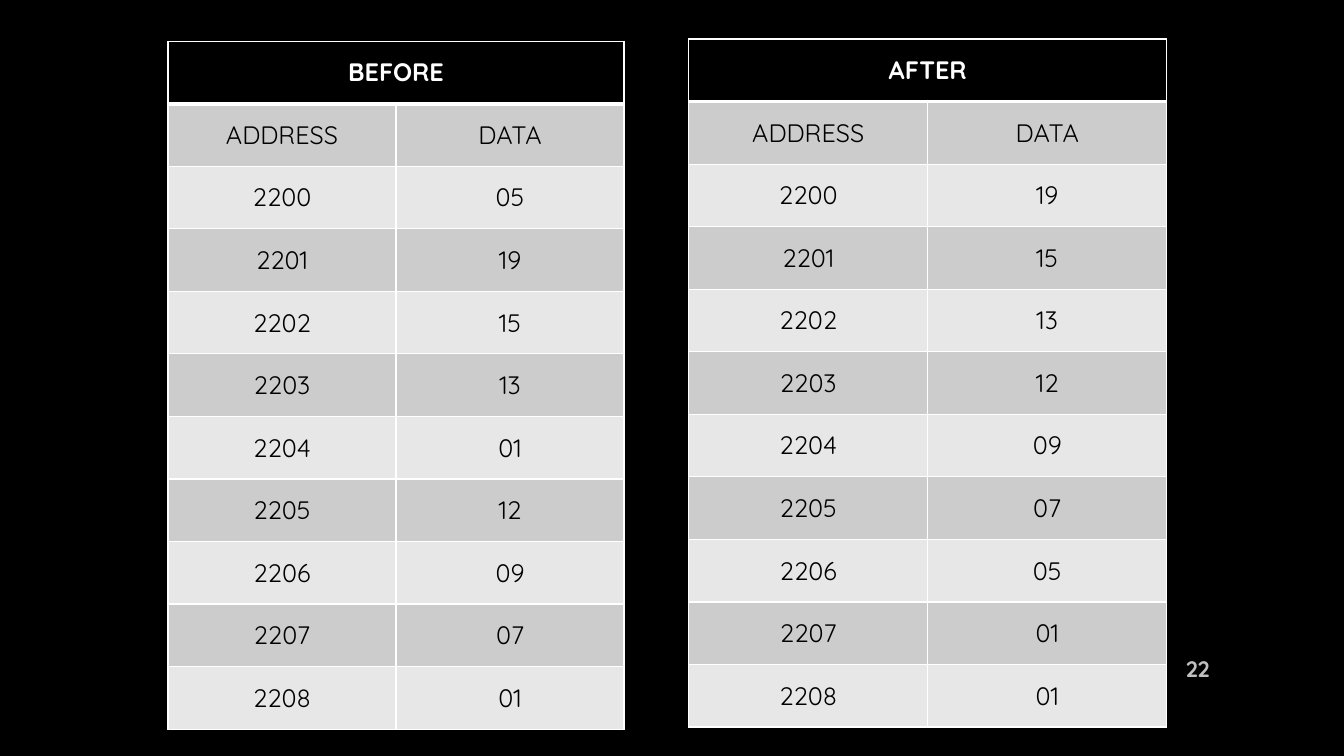
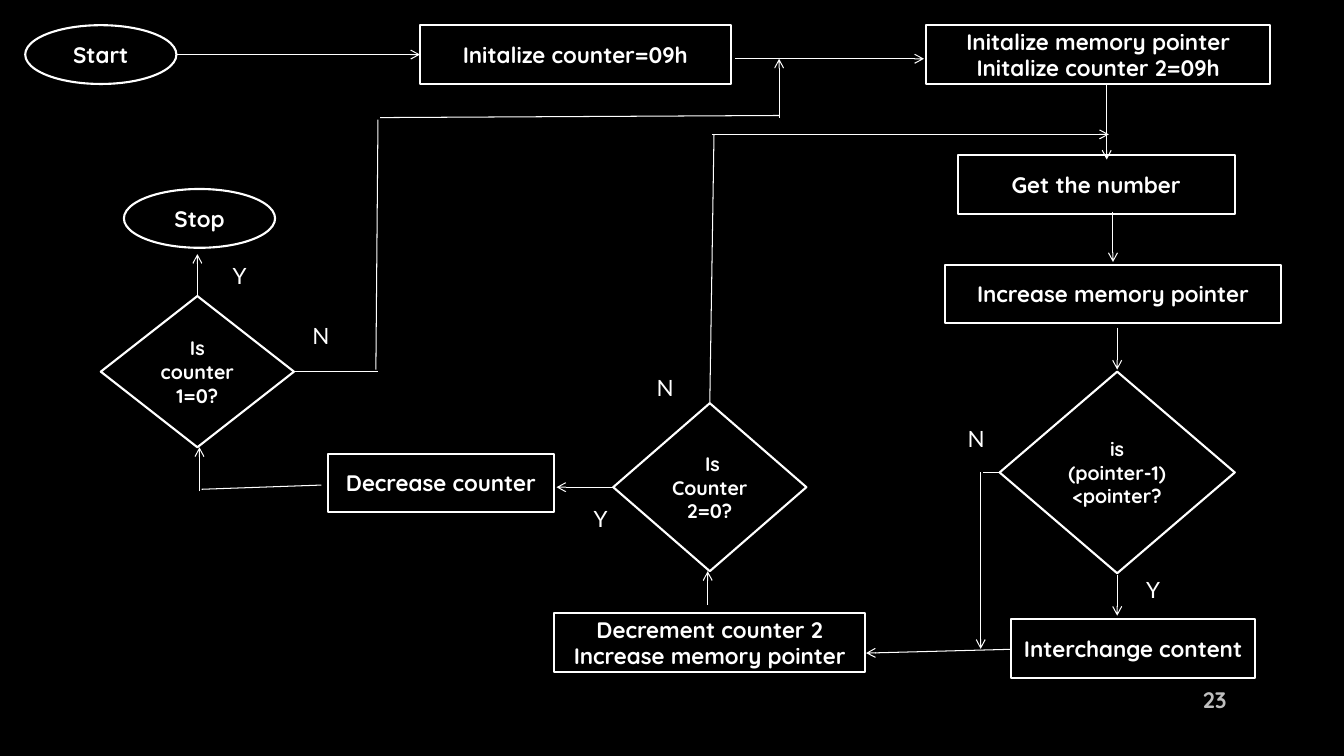
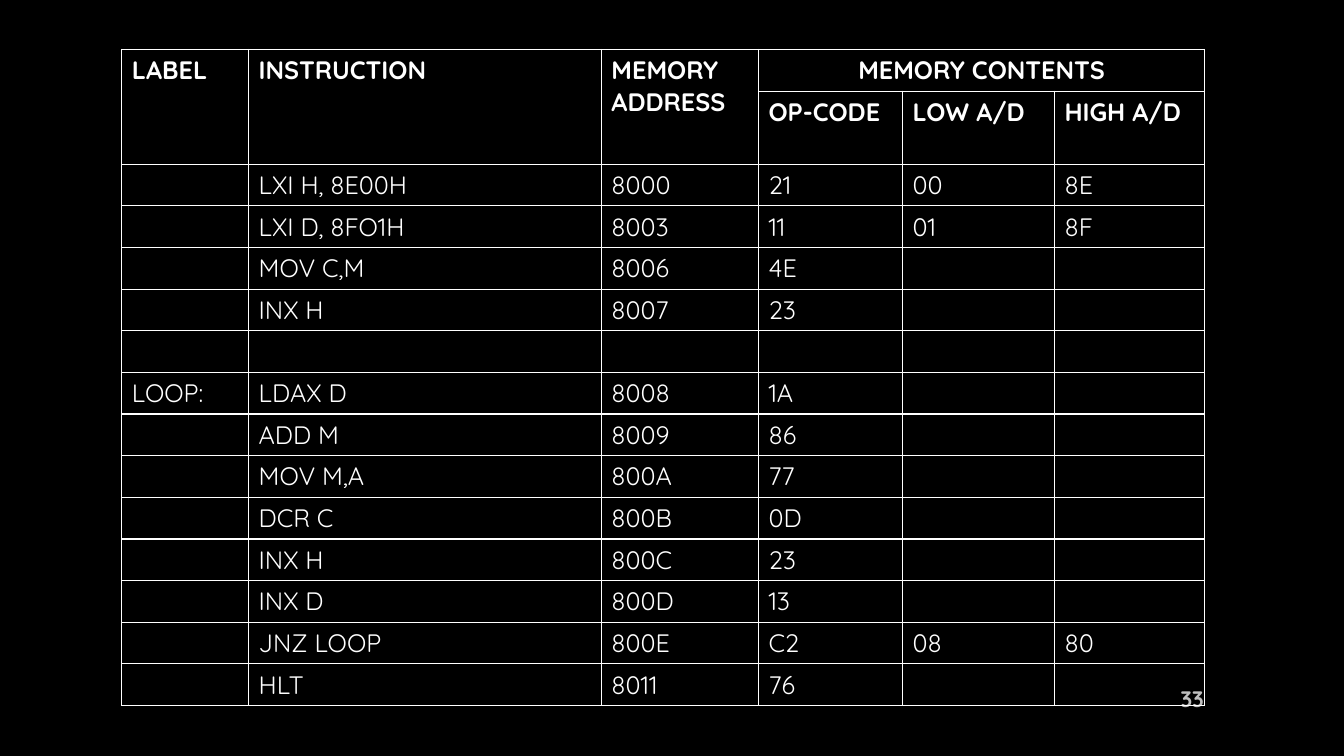
from lxml.etree import SubElement
from pptx import Presentation
from pptx.dml.color import RGBColor
from pptx.enum.shapes import MSO_CONNECTOR, MSO_SHAPE as SHAPE
from pptx.enum.text import MSO_ANCHOR as ANCHOR, PP_ALIGN as ALIGN
from pptx.oxml.ns import qn
from pptx.util import Inches, Pt

COLORS = {
    "black": "000000",
    "white": "FFFFFF",
    "dark_band": "CCCCCC",
    "light_band": "E7E7E7",
    "number": "BFBFBF",
}
COLS, ROWS = 160, 90


def rgb(name):
    return RGBColor.from_string(COLORS[name])


class Deck:
    """Slides on a 160 by 90 grid, drawn in white on black."""

    font = "Quicksand"
    label_font = "Lato"

    def __init__(self):
        self.prs = Presentation()
        self.prs.slide_width = Inches(13.33)
        self.prs.slide_height = Inches(7.5)
        fill = self.prs.slide_master.background.fill
        fill.solid()
        fill.fore_color.rgb = rgb("black")
        self.slide = None

    def x(self, col):
        return round(self.prs.slide_width * col / COLS)

    def y(self, row):
        return round(self.prs.slide_height * row / ROWS)

    def box(self, left, top, width, height):
        return self.x(left), self.y(top), self.x(width), self.y(height)

    def new_slide(self):
        self.slide = self.prs.slides.add_slide(self.prs.slide_layouts[6])

    def set_text(self, tf, text, size=16, color="white", bold=True,
                 align=ALIGN.CENTER, font=None):
        tf.text = text
        for p in tf.paragraphs:
            p.alignment = align
            for f in (p.font, *(r.font for r in p.runs)):
                f.name = font or self.font
                f.size = Pt(size)
                f.bold = bold
                f.color.rgb = rgb(color)

    def number(self, text, left, top):
        tf = self.slide.shapes.add_textbox(*self.box(left, top, 7.2, 4.8)).text_frame
        tf.word_wrap = True
        tf.vertical_anchor = ANCHOR.MIDDLE
        self.set_text(tf, text, color="number", align=ALIGN.RIGHT)

    def label(self, text, left, top):
        tf = self.slide.shapes.add_textbox(*self.box(left, top, 4.4, 4.4)).text_frame
        tf.word_wrap = False
        self.set_text(tf, text, bold=False, align=ALIGN.LEFT, font=self.label_font)

    def node(self, kind, text, left, top, width, height=7, size=16):
        sp = self.slide.shapes.add_shape(kind, *self.box(left, top, width, height))
        sp.shadow.inherit = False
        sp.fill.solid()
        sp.fill.fore_color.rgb = rgb("black")
        sp.line.color.rgb = rgb("white")
        sp.line.width = Pt(1.5)
        sp.text_frame.word_wrap = True
        sp.text_frame.vertical_anchor = ANCHOR.MIDDLE
        self.set_text(sp.text_frame, text, size)

    def line(self, x1, y1, x2, y2, arrow=False):
        cx = self.slide.shapes.add_connector(
            MSO_CONNECTOR.STRAIGHT, self.x(x1), self.y(y1), self.x(x2), self.y(y2))
        cx.line.color.rgb = rgb("white")
        cx.line.width = Pt(0.75)
        sp_pr = cx._element.spPr
        if arrow:
            SubElement(sp_pr.find(qn("a:ln")), qn("a:tailEnd"), type="arrow")
        SubElement(sp_pr, qn("a:effectLst"))

    def table(self, left, top, widths, heights):
        frame = self.slide.shapes.add_table(
            len(heights), len(widths),
            *self.box(left, top, sum(widths), sum(heights)))
        tbl = frame.table
        tbl.first_row = tbl.horz_banding = False
        for col, width in zip(tbl.columns, widths):
            col.width = self.x(width)
        for row, height in zip(tbl.rows, heights):
            row.height = self.y(height)
        return tbl

    def cell(self, cell, text, fill=None, top=1, bottom=1,
             anchor=ANCHOR.TOP, **style):
        tc_pr = cell._tc.get_or_add_tcPr()
        for side, width in (("L", 1), ("R", 1), ("T", top), ("B", bottom)):
            ln = SubElement(tc_pr, qn(f"a:ln{side}"), w=str(int(Pt(width))))
            solid = SubElement(ln, qn("a:solidFill"))
            SubElement(solid, qn("a:srgbClr"), val=COLORS["white"])
        if fill:
            cell.fill.solid()
            cell.fill.fore_color.rgb = rgb(fill)
        else:
            cell.fill.background()
        cell.vertical_anchor = anchor
        self.set_text(cell.text_frame, text, 18, **style)

    def memory_table(self, title, data, left, top, width):
        rows = [(title, ""), ("ADDRESS", "DATA")]
        rows += [(str(2200 + i), value) for i, value in enumerate(data)]
        tbl = self.table(left, top, [width] * 2, [7.45] * len(rows))
        tbl.cell(0, 0).merge(tbl.cell(0, 1))
        for i, row in enumerate(rows):
            head = i == 0
            band = "dark_band" if i % 2 else "light_band"
            for j, text in enumerate(row):
                self.cell(tbl.cell(i, j), text, "black" if head else band,
                          top=3 if i == 1 else 1, bottom=3 if head else 1,
                          anchor=ANCHOR.MIDDLE, bold=head,
                          color="white" if head else "black")

    def program_table(self, rows, left, top, widths):
        heights = [4.96, 8.7] + [4.96] * (len(rows) - 2)
        tbl = self.table(left, top, widths, heights)
        for j in range(3):
            tbl.cell(0, j).merge(tbl.cell(1, j))
        tbl.cell(0, 3).merge(tbl.cell(0, 5))
        for i, row in enumerate(rows):
            for j in range(len(widths)):
                text = row[j] if j < len(row) else ""
                self.cell(tbl.cell(i, j), text, bold=i < 2,
                          align=ALIGN.CENTER if (i, j) == (0, 3) else ALIGN.LEFT)


NODES = [
    (SHAPE.OVAL, "Start", 3, 3, 18),
    (SHAPE.RECTANGLE, "Initalize counter=09h", 50, 3, 37),
    (SHAPE.RECTANGLE, "Initalize memory pointer\nInitalize counter 2=09h", 110.25, 3, 41),
    (SHAPE.RECTANGLE, "Decrease counter", 39, 54, 27),
    (SHAPE.RECTANGLE, "Increase memory pointer", 112.5, 31.5, 40),
    (SHAPE.DIAMOND, "Is counter 1=0?", 12, 35.25, 23, 18, 14),
    (SHAPE.RECTANGLE, "Interchange content", 120.4, 73.7, 29),
    (SHAPE.RECTANGLE, "Get the number", 114, 18.5, 33),
    (SHAPE.DIAMOND, " Is\nCounter 2=0?", 73, 48, 23, 20, 14),
    (SHAPE.DIAMOND, "is\n(pointer-1)<pointer?", 119, 44.25, 28, 24, 14),
    (SHAPE.RECTANGLE, "Decrement counter 2\nIncrease memory pointer", 66, 73, 37),
    (SHAPE.OVAL, "Stop", 14.75, 22.5, 18),
]
ARROWS = [
    (21, 6.5, 50, 6.5),
    (87.5, 7, 110, 7),
    (132.5, 25.2, 132.5, 31.2),
    (131.75, 10, 131.75, 19),
    (133, 39, 133, 44),
    (133, 68.4, 133, 73.3),
    (23.5, 35.25, 23.5, 30.25),
    (84.25, 72, 84.25, 68),
    (120.4, 77.3, 103.1, 77.75),
    (23.75, 58.5, 23.75, 53.25),
    (116.75, 56.25, 116.75, 77.25),
    (73.2, 58, 66.25, 58),
    (84.75, 16, 132, 16),
    (92.75, 14, 92.75, 7),
]
LINES = [
    (119, 56.25, 117, 56.25),
    (84.5, 48, 85, 16),
    (35, 44.25, 45, 44.25),
    (44.75, 44, 45, 14.25),
    (45.25, 14, 92.75, 13.75),
    (24, 58.25, 38.25, 57.75),
]
LABELS = [
    ("N", 114, 50), ("Y", 135.25, 68), ("N", 77, 44),
    ("Y", 69.5, 59.5), ("N", 36, 37.75), ("Y", 26.5, 30.6),
]
PROGRAM = [
    ("LABEL", "INSTRUCTION", "MEMORY ADDRESS", "MEMORY CONTENTS"),
    ("", "", "", "OP-CODE", "LOW A/D", "HIGH A/D"),
    ("", "LXI H, 8E00H", "8000", "21", "00", "8E"),
    ("", "LXI D, 8FO1H", "8003", "11", "01", "8F"),
    ("", "MOV C,M", "8006", "4E"),
    ("", "INX H", "8007", "23"),
    (),
    ("LOOP:", "LDAX D", "8008", "1A"),
    ("", "ADD M", "8009", "86"),
    ("", "MOV M,A", "800A", "77"),
    ("", "DCR C", "800B", "0D"),
    ("", "INX H", "800C", "23"),
    ("", "INX D", "800D", "13"),
    ("", "JNZ LOOP", "800E", "C2", "08", "80"),
    ("", "HLT", "8011", "76"),
]


def main():
    deck = Deck()

    deck.new_slide()
    deck.number("22", 138, 77.2)
    before = ["05", "19", "15", "13", "01", "12", "09", "07", "01"]
    deck.memory_table("BEFORE", before, 20, 4.9, 27.15)
    deck.memory_table("AFTER", sorted(before, reverse=True), 82, 4.65, 28.45)

    deck.new_slide()
    for node in NODES:
        deck.node(*node)
    for ends in ARROWS:
        deck.line(*ends, arrow=True)
    for ends in LINES:
        deck.line(*ends)
    for label in LABELS:
        deck.label(*label)
    deck.number("23", 140, 80.9)

    deck.new_slide()
    deck.number("33", 137.3, 80.75)
    deck.program_table(PROGRAM, 14.5, 5.9, [15.1, 42, 18.7, 17.15, 18.1, 17.9])

    deck.prs.save("out.pptx")


if __name__ == "__main__":
    main()
